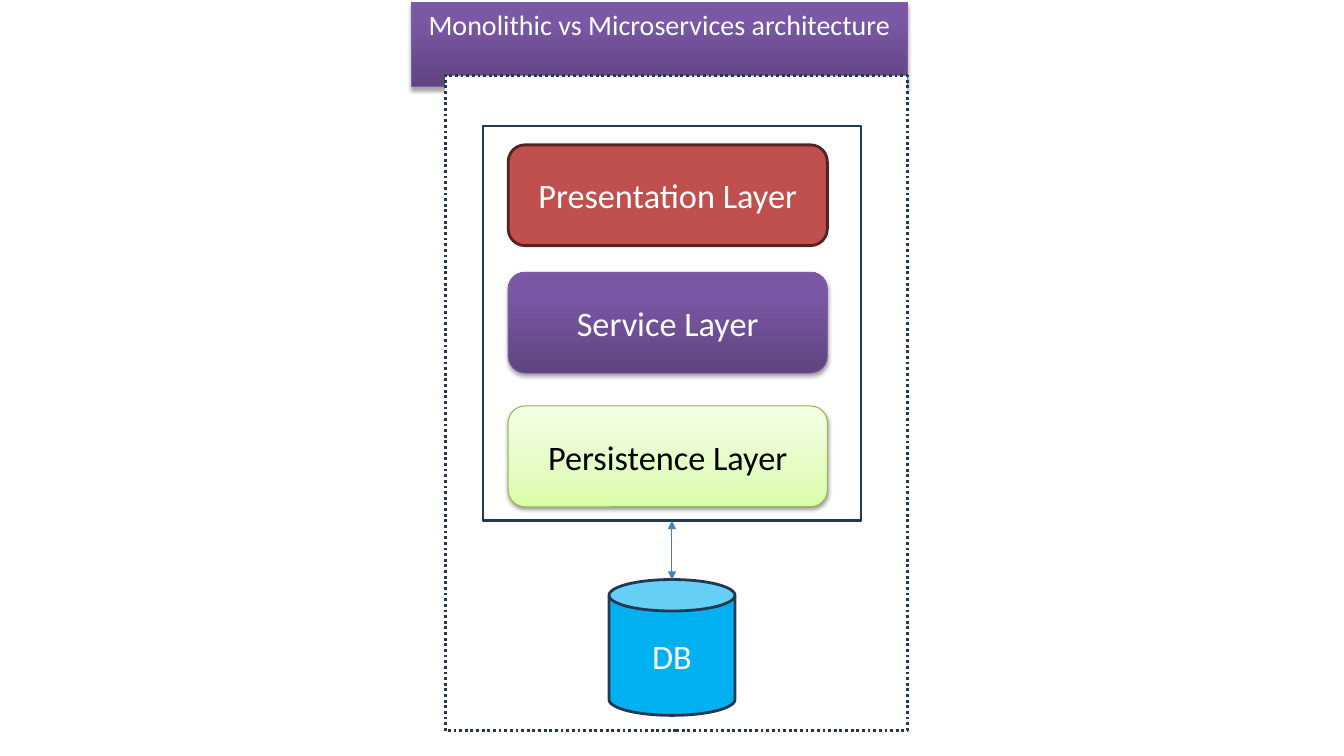
import pptx
import pptx.util
import pptx.dml.color
import pptx.enum.dml
import pptx.enum.shapes
import pptx.enum.text
import pptx.oxml
import pptx.oxml.ns
from lxml import etree

Pt = pptx.util.Pt
RGB = pptx.dml.color.RGBColor
KIND = pptx.enum.shapes.MSO_SHAPE
ANCHOR = pptx.enum.text.MSO_ANCHOR
qn = pptx.oxml.ns.qn

WHITE = RGB(0xFF, 0xFF, 0xFF)
BLACK = RGB(0x00, 0x00, 0x00)
NAVY = RGB(0x23, 0x39, 0x53)
RED = RGB(0xC0, 0x50, 0x4D)
MAROON = RGB(0x54, 0x23, 0x22)
PLUM = RGB(0x7D, 0x60, 0xA0)
OLIVE = RGB(0x98, 0xB9, 0x55)
SKY = RGB(0x00, 0xB0, 0xF0)
BLUE = RGB(0x4B, 0x7E, 0xBC)
PURPLE = [(0, RGB(0x5F, 0x44, 0x80)), (80, RGB(0x7B, 0x58, 0xA6)), (100, RGB(0x7C, 0x57, 0xA8))]
GREEN = [(0, RGB(0xDA, 0xFD, 0xA7)), (35, RGB(0xE4, 0xFC, 0xC2)), (100, RGB(0xF5, 0xFF, 0xE7))]


def paint(shape, fill, edge, width, shade=None):
    shape.line.color.rgb = edge
    shape.line.width = Pt(width)
    shape.shadow.inherit = False
    if shade is None:
        shape.fill.solid()
        shape.fill.fore_color.rgb = fill
        return
    shape.fill.gradient()
    shape.fill.gradient_angle = 90
    props = shape.element.spPr
    stops = props.find(".//" + qn("a:gsLst"))
    for old in list(stops):
        stops.remove(old)
    for pos, color in fill:
        stop = etree.SubElement(stops, qn("a:gs"), pos=str(pos * 1000))
        etree.SubElement(stop, qn("a:srgbClr"), val=str(color))
    alpha, dist = shade
    glow = etree.SubElement(props.find(qn("a:effectLst")), qn("a:outerShdw"),
                            blurRad=str(Pt(3.1)), dist=str(Pt(dist)),
                            dir="5400000", rotWithShape="0")
    tint = etree.SubElement(glow, qn("a:srgbClr"), val=str(BLACK))
    etree.SubElement(tint, qn("a:alpha"), val=str(alpha * 1000))


def write(shape, text, size, color, anchor=ANCHOR.MIDDLE):
    frame = shape.text_frame
    frame.word_wrap = True
    frame.vertical_anchor = anchor
    line = frame.paragraphs[0]
    line.alignment = pptx.enum.text.PP_ALIGN.CENTER
    run = line.add_run()
    run.text = text
    run.font.name = "Calibri"
    run.font.size = Pt(size)
    run.font.color.rgb = color


deck = pptx.Presentation()
deck.slide_width = Pt(960)
deck.slide_height = Pt(540)
slide = deck.slides.add_slide(deck.slide_layouts[5])
shapes = slide.shapes

title = shapes.title
title.left, title.top, title.width, title.height = Pt(294), Pt(2), Pt(354), Pt(31.5)
paint(title, PURPLE, PLUM, 0.75, (35, 1.8))
write(title, "Monolithic vs Microservices architecture", 20, WHITE, ANCHOR.TOP)
title.text_frame.auto_size = pptx.enum.text.MSO_AUTO_SIZE.SHAPE_TO_FIT_TEXT

system = shapes.add_shape(KIND.RECTANGLE, Pt(318), Pt(54), Pt(330), Pt(468))
paint(system, WHITE, NAVY, 2)
system.line.dash_style = pptx.enum.dml.MSO_LINE.ROUND_DOT

app = shapes.add_shape(KIND.RECTANGLE, Pt(345), Pt(90), Pt(270), Pt(282))
paint(app, WHITE, NAVY, 2)

layers = [
    ("Presentation Layer", 103.5, RED, MAROON, 2, None, WHITE),
    ("Service Layer", 194.5, PURPLE, PLUM, 0.75, (35, 1.8), WHITE),
    ("Persistence Layer", 290, GREEN, OLIVE, 0.75, (38, 1.6), BLACK),
]
for text, top, fill, edge, width, shade, color in layers:
    layer = shapes.add_shape(KIND.ROUNDED_RECTANGLE, Pt(363), Pt(top), Pt(228), Pt(72))
    paint(layer, fill, edge, width, shade)
    write(layer, text, 24.5, color)

store = shapes.add_shape(KIND.CAN, Pt(435), Pt(414), Pt(90), Pt(97))
paint(store, SKY, NAVY, 2)
write(store, "DB", 24.5, WHITE)

link = shapes.add_connector(pptx.enum.shapes.MSO_CONNECTOR.STRAIGHT,
                            Pt(480), Pt(372), Pt(480), Pt(414))
link.line.color.rgb = BLUE
link.line.width = Pt(0.75)
props = link.element.spPr
for end in ("a:headEnd", "a:tailEnd"):
    etree.SubElement(props.find(qn("a:ln")), qn(end), type="triangle")
etree.SubElement(props, qn("a:effectLst"))

deck.save("out.pptx")
